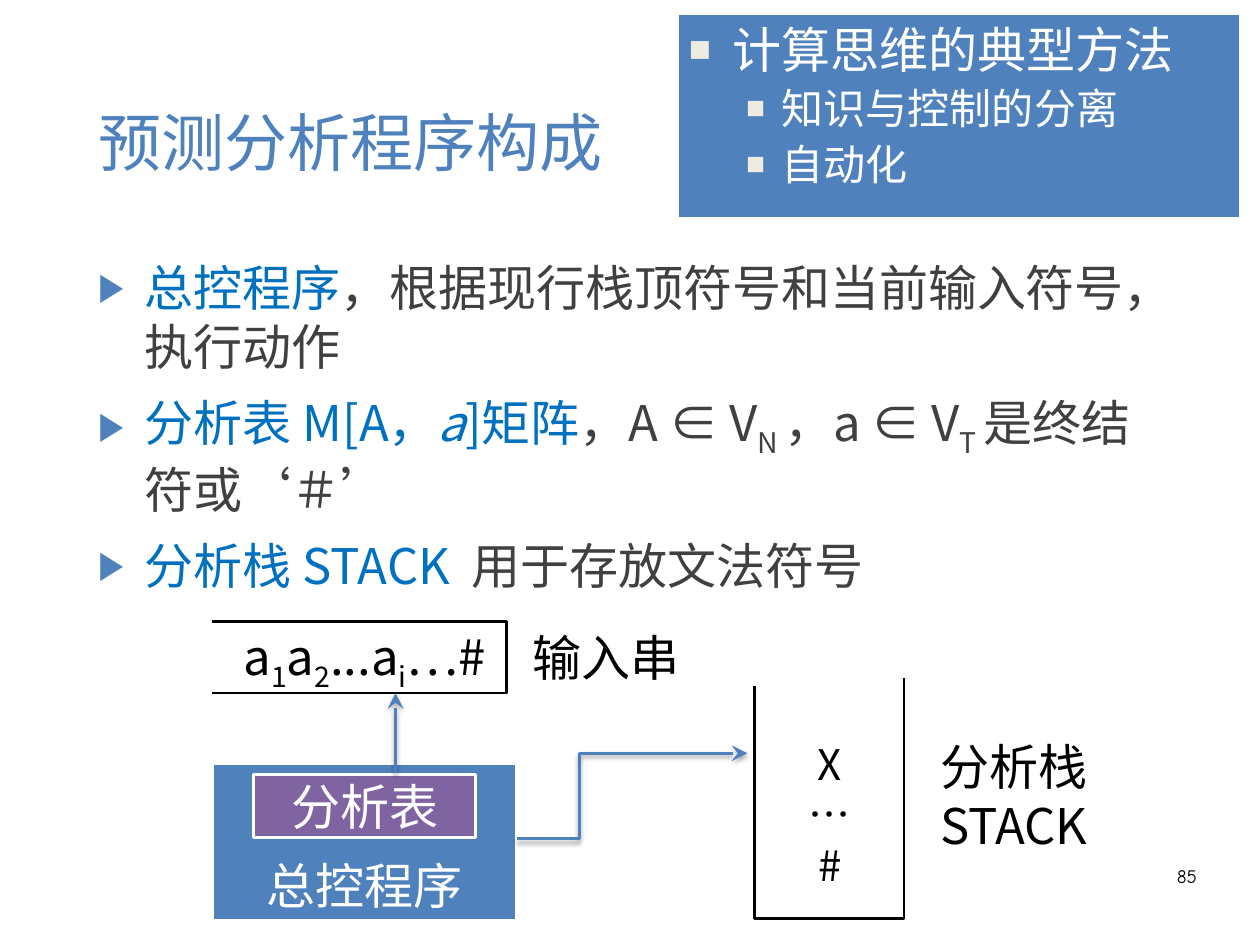
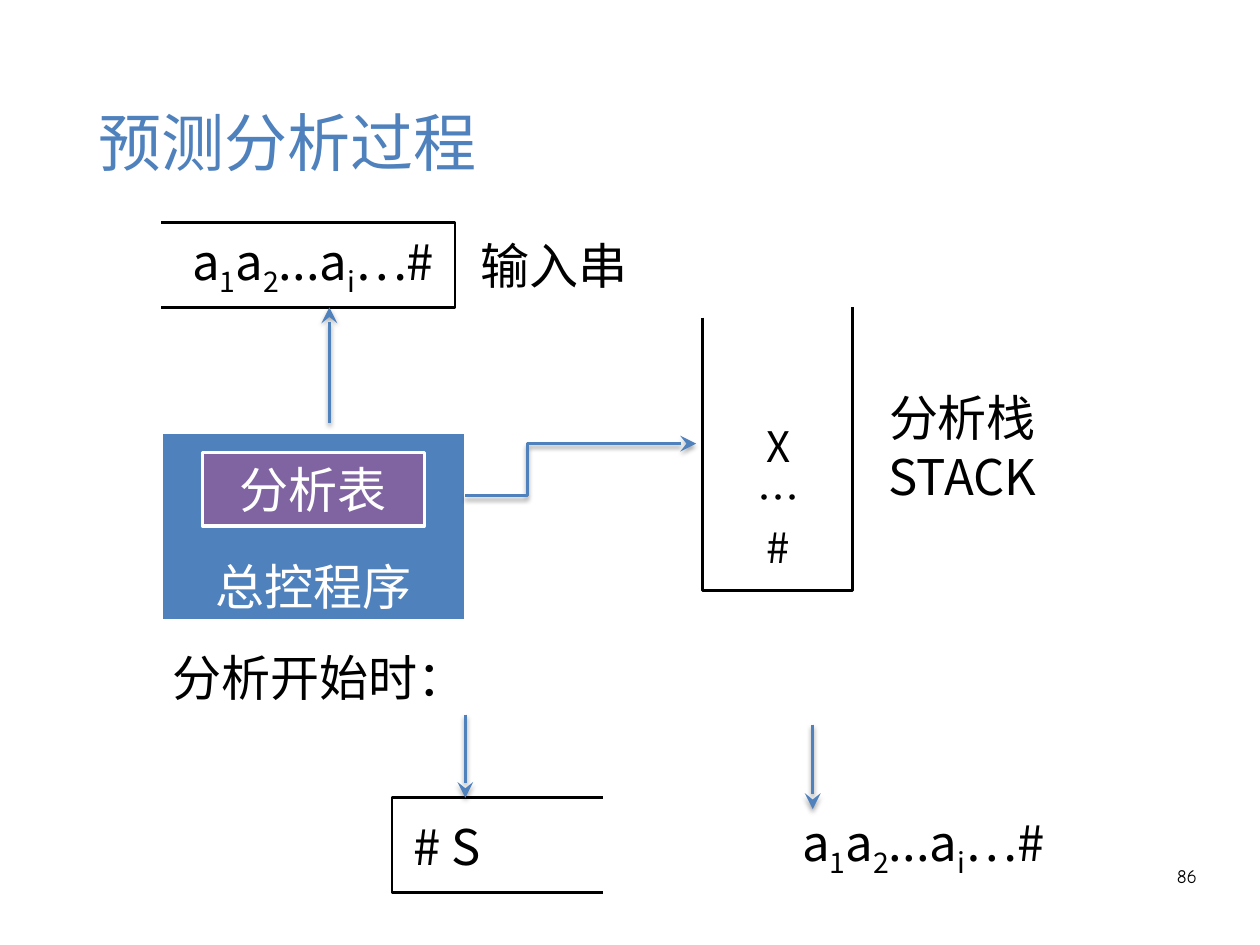
"""Build two slides on how a predictive parser is made up and how it runs."""
from lxml.etree import SubElement
from pptx import Presentation
from pptx.dml.color import RGBColor
from pptx.enum.shapes import MSO_CONNECTOR, MSO_SHAPE
from pptx.enum.text import MSO_ANCHOR, PP_ALIGN
from pptx.oxml import parse_xml
from pptx.oxml.ns import nsdecls, qn
from pptx.util import Cm, Pt

BLUE = RGBColor(0x4F, 0x81, 0xBD)
PURPLE = RGBColor(0x80, 0x64, 0xA2)
KEYWORD = RGBColor(0x00, 0x70, 0xC0)
GREY = RGBColor(0x40, 0x40, 0x40)
CREAM = RGBColor(0xEE, 0xEC, 0xE1)
BLACK = RGBColor(0, 0, 0)
WHITE = RGBColor(255, 255, 255)
FONT = "Noto Sans CJK SC"
LARGE, MEDIUM = 30.9, 26.5
LABEL_WIDTH, INPUT_WIDTH = 5.84, 6.44
SUB = {"baseline": "-25000"}
INPUT_STRING = [("a", {}), ("1", SUB), ("a", {}), ("2", SUB),
                ("...a", {}), ("i", SUB), ("…#", {})]


def write(frame, paragraphs, size=LARGE, color=BLACK, font=FONT, align=PP_ALIGN.CENTER,
          anchor=MSO_ANCHOR.MIDDLE, wrap=False, bullet=None, gap=0, indents=()):
    """Fill a text frame with paragraphs, each a string or a list of (text, format) runs."""
    frame.word_wrap = wrap
    frame.vertical_anchor = anchor
    for index, content in enumerate(paragraphs):
        paragraph = frame.add_paragraph() if index else frame.paragraphs[0]
        paragraph.alignment = align
        if bullet:
            char, bullet_color, percent = bullet
            level, margin, hanging = indents[index]
            paragraph.level = level
            properties = paragraph._p.get_or_add_pPr()
            properties.set("marL", str(Cm(margin)))
            properties.set("indent", str(-Cm(hanging)))
            bullet_fill = SubElement(properties, qn("a:buClr"))
            SubElement(bullet_fill, qn("a:srgbClr"), val=str(bullet_color))
            SubElement(properties, qn("a:buSzPct"), val=str(percent * 1000))
            SubElement(properties, qn("a:buFont"), typeface="Arial")
            SubElement(properties, qn("a:buChar"), char=char)
        if index and gap:
            paragraph.space_before = Pt(gap)
        runs = [(content, {})] if isinstance(content, str) else content
        for text, style in runs:
            run = paragraph.add_run()
            run.text = text
            run.font.size = Pt(style.get("size", size))
            run.font.color.rgb = style.get("color", color)
            run.font.name = style.get("font", font)
            if style.get("italic"):
                run.font.italic = True
            run_properties = run.font._element
            SubElement(run_properties, qn("a:ea"), typeface=font)
            if "baseline" in style:
                run_properties.set("baseline", style["baseline"])


def draw_path(slide, points, arrow=False):
    """Draw an open line through points in centimetres, with an arrowhead and shadow if asked."""
    points = [(Cm(x), Cm(y)) for x, y in points]
    if len(points) == 2:
        line = slide.shapes.add_connector(MSO_CONNECTOR.STRAIGHT, *points[0], *points[1])
    else:
        builder = slide.shapes.build_freeform(*points[0])
        builder.add_line_segments(points[1:], close=False)
        line = builder.convert_to_shape()
        line.fill.background()
    line.line.color.rgb = BLUE if arrow else BLACK
    line.line.width = Pt(2 if arrow else 1.75)
    properties = line._element.spPr
    effects = SubElement(properties, qn("a:effectLst"))
    if arrow:
        SubElement(properties.find(qn("a:ln")), qn("a:tailEnd"),
                   type="stealth", w="lg", len="lg")
        effects.append(parse_xml(
            f'<a:outerShdw {nsdecls("a")} blurRad="{Pt(3)}" dist="{Pt(2)}" dir="5400000" '
            'rotWithShape="0"><a:srgbClr val="000000"><a:alpha val="35000"/></a:srgbClr>'
            '</a:outerShdw>'))


prs = Presentation()
prs.slide_width, prs.slide_height = Cm(28), Cm(21)

layouts = [
    {"title": "预测分析程序构成", "number": "85", "left": 4.72,
     "input": (13.82, 15.4), "input_text": (13.94, 1.45), "input_label": (14, 1.19),
     "program": (16.97, 3.48), "table": (17.22, 1.4),
     "stack": (15.24, 20.42, 15.06), "symbols": (15.93, 4.32), "stack_label": (16.28, 2.79),
     "read_arrow": (8.79, 17.17), "stack_arrow": (18.64, 16.74)},
    {"title": "预测分析过程", "number": "86", "left": 3.58,
     "input": (4.95, 6.83), "input_text": (5.18, 1.4), "input_label": (5.18, 1.4),
     "program": (9.6, 4.19), "table": (10.06, 1.63),
     "stack": (7.06, 13.13, 6.83), "symbols": (9.17, 3.73), "stack_label": (8.28, 3.28),
     "read_arrow": (7.32, 9.4), "stack_arrow": (11.02, 9.86)},
]

slides = []
for layout in layouts:
    slide = prs.slides.add_slide(prs.slide_layouts[5])
    slides.append(slide)
    title = slide.shapes.title
    title.left, title.top, title.width, title.height = Cm(1.93), Cm(1.12), Cm(24.16), Cm(4.06)
    write(title.text_frame, [layout["title"]], size=39.7, color=BLUE,
          align=PP_ALIGN.LEFT, wrap=True)

    left = layout["left"]
    for part, offset, width, fill, text, anchor in [
        ("program", 0, 6.76, BLUE, "总控程序", MSO_ANCHOR.BOTTOM),
        ("table", 0.92, 4.93, PURPLE, "分析表", MSO_ANCHOR.MIDDLE),
    ]:
        top, height = layout[part]
        block = slide.shapes.add_shape(MSO_SHAPE.RECTANGLE, Cm(left + offset), Cm(top),
                                       Cm(width), Cm(height))
        block.shadow.inherit = False
        block.fill.solid()
        block.fill.fore_color.rgb = fill
        block.line.color.rgb = WHITE
        block.line.width = Pt(2)
        write(block.text_frame, [text], color=WHITE, anchor=anchor)

    for part, offset, width, size, paragraphs in [
        ("symbols", 12.55, 2.34, MEDIUM, ["X", "…", "#"]),
        ("input_label", 5.82, LABEL_WIDTH, LARGE, ["输入串"]),
        ("stack_label", 14.89, LABEL_WIDTH, LARGE, ["分析栈", "STACK"]),
        ("input_text", 0.16, INPUT_WIDTH, LARGE, [INPUT_STRING]),
    ]:
        top, height = layout[part]
        label = slide.shapes.add_textbox(Cm(left + offset), Cm(top), Cm(width), Cm(height))
        write(label.text_frame, paragraphs, size=size)

    input_top, input_bottom = layout["input"]
    input_right = left + 6.53
    draw_path(slide, [(left, input_top), (input_right, input_top),
                      (input_right, input_bottom), (left, input_bottom)])
    left_rim, stack_bottom, right_rim = layout["stack"]
    stack_left, stack_right = left + 12.04, left + 15.37
    draw_path(slide, [(stack_left, left_rim), (stack_left, stack_bottom),
                      (stack_right, stack_bottom), (stack_right, right_rim)])
    read_x, read_start = layout["read_arrow"]
    draw_path(slide, [(read_x, read_start), (read_x, input_bottom)], arrow=True)
    start_y, end_y = layout["stack_arrow"]
    bend_x = left + 8.15
    draw_path(slide, [(left + 6.76, start_y), (bend_x, start_y),
                      (bend_x, end_y), (left + 11.89, end_y)], arrow=True)

    page_number = slide.shapes.add_textbox(Cm(20.07), Cm(19.22), Cm(6.53), Cm(1.45))
    frame = page_number.text_frame
    frame.margin_left = frame.margin_right = frame.margin_top = frame.margin_bottom = 0
    write(frame, [layout["number"]], size=12, font="Comic Neue", align=PP_ALIGN.RIGHT,
          anchor=MSO_ANCHOR.TOP, wrap=True)

structure, process = slides

key = {"color": KEYWORD}
body = structure.shapes.add_textbox(Cm(1.93), Cm(5.59), Cm(24.16), Cm(13.34))
write(body.text_frame, [
    [("总控程序", key), ("，根据现行栈顶符号和当前输入符号，执行动作", {})],
    [("分析表 M[A，", key), ("a", {"color": KEYWORD, "italic": True}), ("]矩阵", key),
     ("，A ∈ V", {}), ("N ", SUB), ("，a ∈ V", {}), ("T ", SUB), ("是终结符或", {}),
     ("‘＃’", {"font": "Times New Roman"})],
    [("分析栈 STACK  ", key), ("用于存放文法符号", {})],
], color=GREY, align=PP_ALIGN.LEFT, anchor=MSO_ANCHOR.TOP, wrap=True,
    bullet=("▶", BLUE, 80), gap=11, indents=[(0, 1.04, 1.04)] * 3)

methods = structure.shapes.add_shape(MSO_SHAPE.RECTANGLE, Cm(15.06), Cm(0.3),
                                     Cm(12.52), Cm(4.55))
methods.shadow.inherit = False
methods.fill.solid()
methods.fill.fore_color.rgb = BLUE
methods.line.color.rgb = WHITE
methods.line.width = Pt(2)
write(methods.text_frame, [
    "计算思维的典型方法",
    [("知识与控制的分离", {"size": MEDIUM})],
    [("自动化", {"size": MEDIUM})],
], color=WHITE, align=PP_ALIGN.LEFT, anchor=MSO_ANCHOR.TOP, wrap=True,
    bullet=("■", CREAM, 75), gap=3,
    indents=[(0, 0.97, 0.97), (1, 2.06, 0.79), (1, 2.06, 0.79)])

for x, y, width, height, content in [
    (3.58, 14.25, 7.11, 1.57, "分析开始时："),
    (8.94, 17.98, 3.96, 1.63, "# S"),
    (17.58, 17.98, INPUT_WIDTH, 1.63, INPUT_STRING),
]:
    start_label = process.shapes.add_textbox(Cm(x), Cm(y), Cm(width), Cm(height))
    write(start_label.text_frame, [content], align=PP_ALIGN.LEFT)
draw_path(process, [(13.39, 17.73), (8.71, 17.73), (8.71, 19.84), (13.39, 19.84)])
for x, start_y, end_y in [(10.34, 15.88, 17.73), (18.06, 16.1, 17.98)]:
    draw_path(process, [(x, start_y), (x, end_y)], arrow=True)

prs.save("out.pptx")
